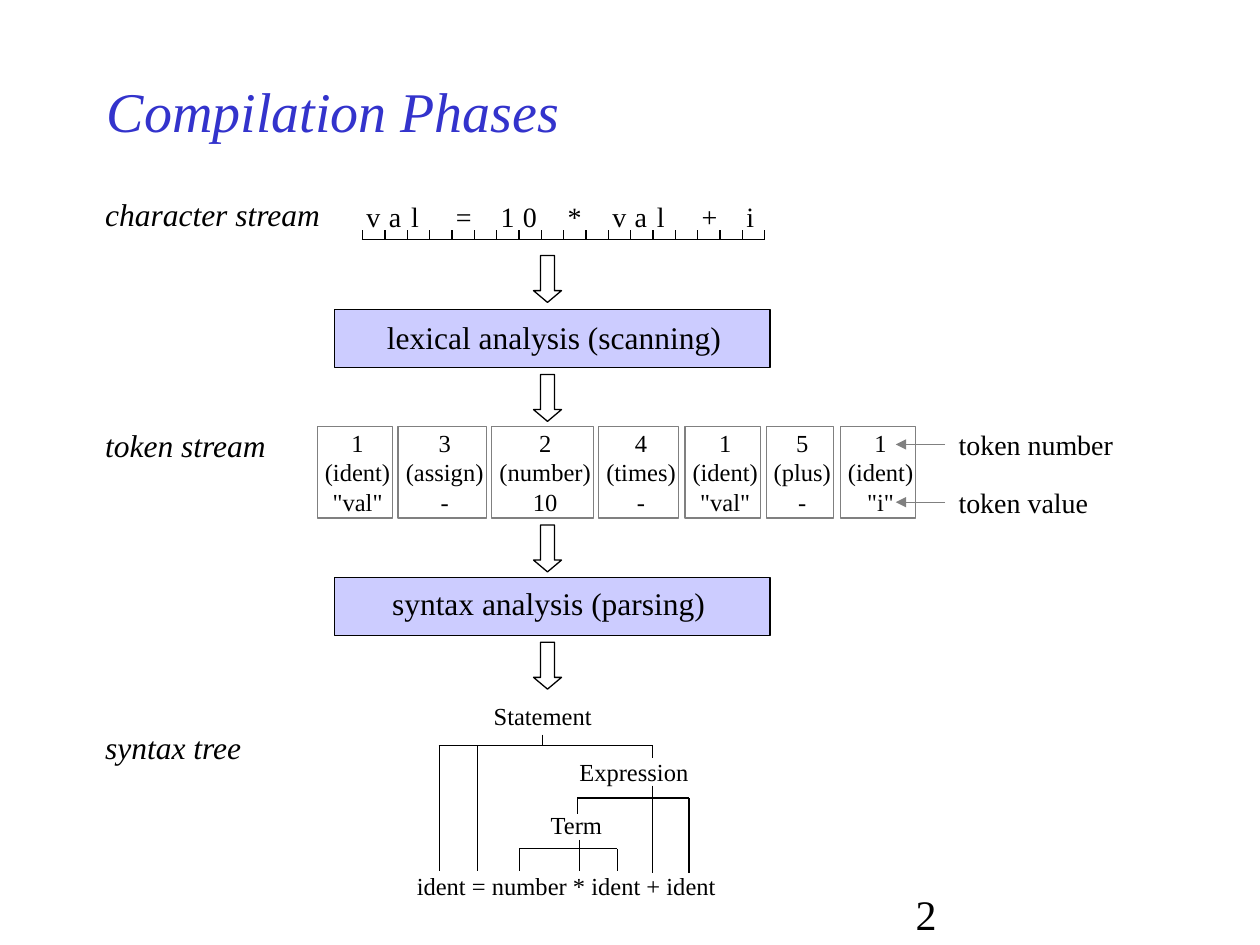
import pptx
import pptx.util
import pptx.dml.color
import pptx.enum.shapes
import pptx.enum.text
import pptx.oxml.ns
from lxml import etree

Pt = pptx.util.Pt
RGB = pptx.dml.color.RGBColor.from_string
kinds = pptx.enum.shapes.MSO_SHAPE
align = pptx.enum.text.PP_ALIGN
anchor = pptx.enum.text.MSO_ANCHOR
fit = pptx.enum.text.MSO_AUTO_SIZE
qn = pptx.oxml.ns.qn

hues = {"title": "3333CC", "ink": "000000", "phase": "CCCCFF", "grey": "808080"}

deck = pptx.Presentation()
deck.slide_width, deck.slide_height = Pt(720), Pt(540)
slide = deck.slides.add_slide(deck.slide_layouts[6])
shapes = slide.shapes


def write(box, lines, size, pads=(7.2, 3.6, 0, 3.6), hue="ink",
          italic=False, side=align.LEFT, **frame):
    """Put the lines into a box, one paragraph each."""
    text = box.text_frame
    names = ("margin_left", "margin_top", "margin_right", "margin_bottom")
    look = dict(zip(names, map(Pt, pads)))
    look.update({"word_wrap": False, "vertical_anchor": anchor.TOP,
                 "auto_size": fit.SHAPE_TO_FIT_TEXT}, **frame)
    for name, value in look.items():
        setattr(text, name, value)
    text.text = "\n".join(lines)
    font = {"name": "Times New Roman", "size": Pt(size), "italic": italic}
    for para in text.paragraphs:
        para.alignment = side
        for name, value in font.items():
            setattr(para.font, name, value)
        para.font.color.rgb = RGB(hues[hue])


def rule(x1, y1, x2, y2, hue="ink", head=False):
    """Draw a thin line, with an arrowhead at its end if head is set."""
    line = shapes.add_connector(
        pptx.enum.shapes.MSO_CONNECTOR.STRAIGHT, Pt(x1), Pt(y1), Pt(x2), Pt(y2))
    line.line.width = Pt(0.75)
    line.line.color.rgb = RGB(hues[hue])
    if head:
        etree.SubElement(line.line._get_or_add_ln(), qn("a:tailEnd"), type="triangle")
    etree.SubElement(line._element.spPr, qn("a:effectLst"))


# Title and page number
fixed = {"word_wrap": True, "auto_size": fit.NONE}
title = shapes.add_textbox(Pt(54), Pt(36), Pt(540), Pt(54))
write(title, ["Compilation Phases"], 32, hue="title", italic=True,
      vertical_anchor=anchor.MIDDLE, **fixed)
page = shapes.add_textbox(Pt(516.2), Pt(504), Pt(150), Pt(24))
write(page, ["2"], 24, **fixed)

# Names of the stages
for name, y, w in (("character stream", 108, 137.5), ("token stream", 239.8, 106.5),
                   ("syntax tree", 412.2, 93)):
    box = shapes.add_textbox(Pt(53), Pt(y), Pt(w), Pt(28.8))
    write(box, [name], 18, italic=True)

# Character stream: one cell for each character
code = "val = 10 * val + i"
left, step, base = 207.2, 12.77, 136.8
rule(left - 0.5, base, left + step * len(code), base)
for i in range(len(code) + 1):
    x = left + step * i
    rule(x, base, x, base - 5.4)
for i, char in enumerate(code):
    if char != " ":
        box = shapes.add_textbox(Pt(left + step * i + 2.2), Pt(113.8), Pt(10), Pt(19.4))
        write(box, [char], 16, (0, 0, 0, 0))

# Phases, and the arrows between the stages
for name, y, x, top, w in (
        ("lexical analysis (scanning)", 177, 214, 178, 205.2),
        ("syntax analysis (parsing)", 330, 217, 330, 193)):
    bar = shapes.add_shape(kinds.RECTANGLE, Pt(191), Pt(y), Pt(249), Pt(33))
    bar.shadow.inherit = False
    bar.fill.solid()
    bar.fill.fore_color.rgb = RGB(hues["phase"])
    bar.line.color.rgb = RGB(hues["ink"])
    bar.line.width = Pt(0.75)
    box = shapes.add_textbox(Pt(x), Pt(top), Pt(w), Pt(28.8))
    write(box, [name], 18, (3, 3.6, 3, 3.6), side=align.CENTER)
for y in (146, 214, 300, 367):
    arrow = shapes.add_shape(kinds.DOWN_ARROW, Pt(304.9), Pt(y), Pt(16), Pt(26.8))
    arrow.shadow.inherit = False
    arrow.adjustments[1] = 0.42
    arrow.fill.background()
    arrow.line.color.rgb = RGB(hues["ink"])
    arrow.line.width = Pt(0.75)

# Token stream
tokens = (
    (181.3, 43.2, "1", "ident", '"val"'), (227.5, 50.4, "3", "assign", "-"),
    (281, 58.2, "2", "number", "10"), (342.2, 45.4, "4", "times", "-"),
    (391.4, 43.2, "1", "ident", '"val"'), (437.8, 38.4, "5", "plus", "-"),
    (480.2, 43.2, "1", "ident", '"i"'))
for x, w, num, kind, value in tokens:
    cell = shapes.add_shape(kinds.RECTANGLE, Pt(x), Pt(243.8), Pt(w), Pt(52.2))
    cell.shadow.inherit = False
    cell.fill.background()
    cell.line.color.rgb = RGB(hues["grey"])
    cell.line.width = Pt(0.75)
    write(cell, [num, f"({kind})", value], 14, (2.9, 0.7, 0, 0.7),
          side=align.CENTER)
for name, y, w in (("token number", 254, 102.2), ("token value", 287, 88.6)):
    rule(540, y, 511.9, y, "grey", True)
    box = shapes.add_textbox(Pt(540.7), Pt(y - 13.1), Pt(w), Pt(26.6))
    write(box, [name], 16)

# Syntax tree
for name, x, y, w in (
        ("Statement", 275, 397, 70.6), ("Expression", 324, 429, 76.3),
        ("Term", 307.6, 459.2, 44.6),
        ("ident = number * ident + ident", 231.1, 494.2, 185)):
    box = shapes.add_textbox(Pt(x), Pt(y), Pt(w), Pt(24.5))
    write(box, [name], 14)
for x1, x2, y in ((250.7, 373, 426), (329.9, 393.8, 456), (296.8, 352.8, 485)):
    rule(x1, y, x2, y)
for x, top, end in (
        (310, 419.8, 426), (251, 426, 498), (272.9, 426, 498), (373, 426, 433),
        (373, 449, 499), (329.9, 456, 465.1), (393.8, 456, 499),
        (296.8, 485, 498), (331, 480, 498), (352.8, 485, 498)):
    rule(x, top, x, end)

deck.save("out.pptx")
